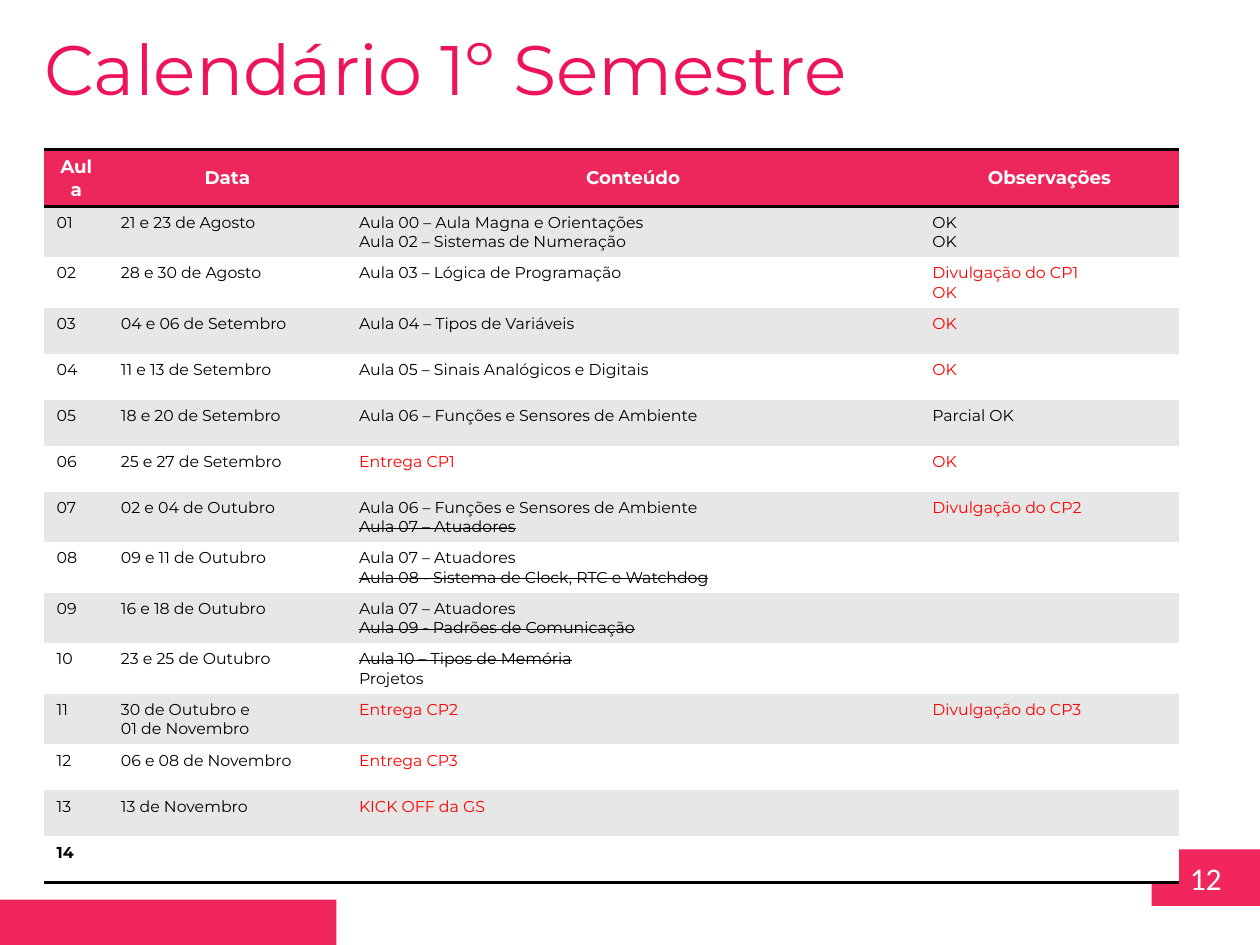
from lxml.etree import SubElement
from pptx import Presentation
from pptx.dml.color import RGBColor
from pptx.enum.shapes import MSO_SHAPE as Shape
from pptx.enum.text import MSO_ANCHOR as Anchor, MSO_AUTO_SIZE as AutoSize, PP_ALIGN as Align
from pptx.oxml.ns import qn
from pptx.util import Inches, Pt

PINK, HEADER_PINK, TITLE_PINK = "F0265D", "ED265B", "ED145B"
BLACK, WHITE, GREY, RED = "000000", "FFFFFF", "E7E7E7", "FF0000"
FONT = "Montserrat"
NO_STYLE = "{2D5ABB26-0587-4C30-8999-92F81FD0307C}"
COLUMN_WIDTHS = (0.51, 1.89, 4.55, 2.06)
ROW_HEIGHT = Pt(26.3)

TITLE_FORMAT = {"name": FONT, "size": Pt(40), "bold": False}
HEADER_FORMAT = {"name": FONT, "size": Pt(10.5), "bold": True}
BODY_FORMAT = {"name": FONT, "size": Pt(9), "bold": False}
NUMBER_FORMAT = {"name": "Calibri", "size": Pt(18), "bold": False}

# Each line of a cell may start with a mark: "!" for red, "~" for struck through
HEADINGS = ("Aula", "Data", "Conteúdo", "Observações")
CLASSES = [
    ("21 e 23 de Agosto", "Aula 00 – Aula Magna e Orientações\nAula 02 – Sistemas de Numeração", "OK\nOK"),
    ("28 e 30 de Agosto", "Aula 03 – Lógica de Programação", "!Divulgação do CP1\n!OK"),
    ("04 e 06 de Setembro", "Aula 04 – Tipos de Variáveis", "!OK"),
    ("11 e 13 de Setembro", "Aula 05 – Sinais Analógicos e Digitais", "!OK"),
    ("18 e 20 de Setembro", "Aula 06 – Funções e Sensores de Ambiente", "Parcial OK"),
    ("25 e 27 de Setembro", "!Entrega CP1", "!OK"),
    ("02 e 04 de Outubro", "Aula 06 – Funções e Sensores de Ambiente\n~Aula 07 – Atuadores", "!Divulgação do CP2"),
    ("09 e 11 de Outubro", "Aula 07 – Atuadores\n~Aula 08 - Sistema de Clock, RTC e Watchdog", ""),
    ("16 e 18 de Outubro", "Aula 07 – Atuadores\n~Aula 09 - Padrões de Comunicação", ""),
    ("23 e 25 de Outubro", "~Aula 10 – Tipos de Memória\nProjetos", ""),
    ("30 de Outubro e\n01 de Novembro", "!Entrega CP2", "!Divulgação do CP3"),
    ("06 e 08 de Novembro", "!Entrega CP3", ""),
    ("13 de Novembro", "!KICK OFF da GS", ""),
    ("", "", ""),
]


def color(value):
    return RGBColor.from_string(value)


def write_line(paragraph, text, font_format, text_color, align=Align.LEFT):
    paragraph.alignment = align
    run = paragraph.add_run()
    run.text = text
    for name, value in font_format.items():
        setattr(run.font, name, value)
    run.font.color.rgb = color(text_color)
    return run


def add_block(slide, left, top, width, height):
    block = slide.shapes.add_shape(Shape.RECTANGLE, *map(Inches, (left, top, width, height)))
    block.shadow.inherit = False
    block.fill.solid()
    block.fill.fore_color.rgb = color(PINK)
    block.line.fill.background()
    return block


def add_title(slide, text):
    title = slide.shapes.title
    title.left, title.top, title.width, title.height = map(Inches, (0.25, 0.15, 6.92, 0.77))
    frame = title.text_frame
    frame.word_wrap = True
    frame.auto_size = AutoSize.SHAPE_TO_FIT_TEXT
    frame.vertical_anchor = Anchor.TOP
    write_line(frame.paragraphs[0], text, TITLE_FORMAT, TITLE_PINK)


def add_border(cell, sides):
    properties = cell._tc.get_or_add_tcPr()
    for position, side in enumerate(sides):
        line = SubElement(properties, qn(f"a:{side}"), w=str(Pt(2)))
        fill = SubElement(line, qn("a:solidFill"))
        SubElement(fill, qn("a:srgbClr"), val=BLACK)
        properties.insert(position, line)  # borders come before the fill


def fill_cell(cell, fill_color):
    cell.fill.solid()
    cell.fill.fore_color.rgb = color(fill_color)


def write_cell(cell, text, font_format):
    frame = cell.text_frame
    for position, line in enumerate(text.split("\n")):
        paragraph = frame.add_paragraph() if position else frame.paragraphs[0]
        if not line:  # keeps an empty cell as low as a written one
            SubElement(paragraph._p, qn("a:endParaRPr"), sz="900")
            continue
        run = write_line(paragraph, line.lstrip("!~"), font_format, RED if line[0] == "!" else BLACK)
        if line[0] == "~":
            run.font._element.set("strike", "sngStrike")


def add_calendar(slide):
    row_count = len(CLASSES) + 1
    frame = slide.shapes.add_table(row_count, len(HEADINGS), Inches(0.35), Inches(1.19),
                                   Inches(sum(COLUMN_WIDTHS)), ROW_HEIGHT * row_count)
    table = frame.table
    table.first_row = table.horz_banding = False
    table._tbl.tblPr.find(qn("a:tableStyleId")).text = NO_STYLE
    for column, width in zip(table.columns, COLUMN_WIDTHS):
        column.width = Inches(width)
    for row in table.rows:
        row.height = ROW_HEIGHT

    # Heading row
    for cell, heading in zip(table.rows[0].cells, HEADINGS):
        fill_cell(cell, HEADER_PINK)
        add_border(cell, ("lnT", "lnB"))
        cell.vertical_anchor = Anchor.MIDDLE
        write_line(cell.text_frame.paragraphs[0], heading, HEADER_FORMAT, WHITE, Align.CENTER)

    # Banded class rows, the last one closed by a line and with a bold number
    for number, texts in enumerate(CLASSES, start=1):
        is_last = number == len(CLASSES)
        for column, text in enumerate((f"{number:02}", *texts)):
            cell = table.cell(number, column)
            fill_cell(cell, GREY if number % 2 else WHITE)
            write_cell(cell, text, BODY_FORMAT | {"bold": is_last})
            if is_last:
                add_border(cell, ("lnB",))


def main():
    presentation = Presentation()
    presentation.slide_width, presentation.slide_height = Inches(10), Inches(7.5)
    slide = presentation.slides.add_slide(presentation.slide_layouts[5])

    # Footer blocks and page number
    number_block = add_block(slide, 9.14, 6.74, 0.86, 0.45)
    number_block.text_frame.vertical_anchor = Anchor.MIDDLE
    write_line(number_block.text_frame.paragraphs[0], "12", NUMBER_FORMAT, WHITE, Align.CENTER)
    add_block(slide, 0, 7.14, 2.67, 0.36)

    add_title(slide, "Calendário 1º Semestre")
    add_calendar(slide)
    presentation.save("out.pptx")


if __name__ == "__main__":
    main()
